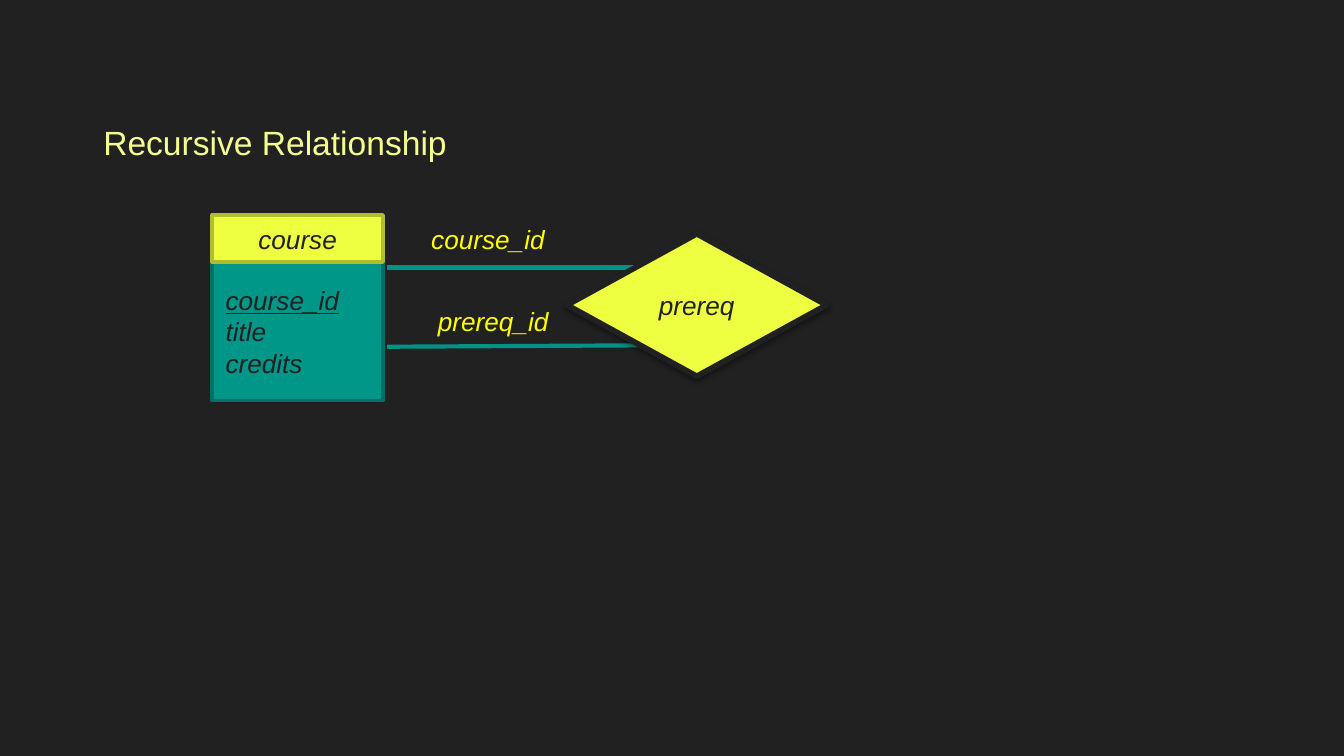
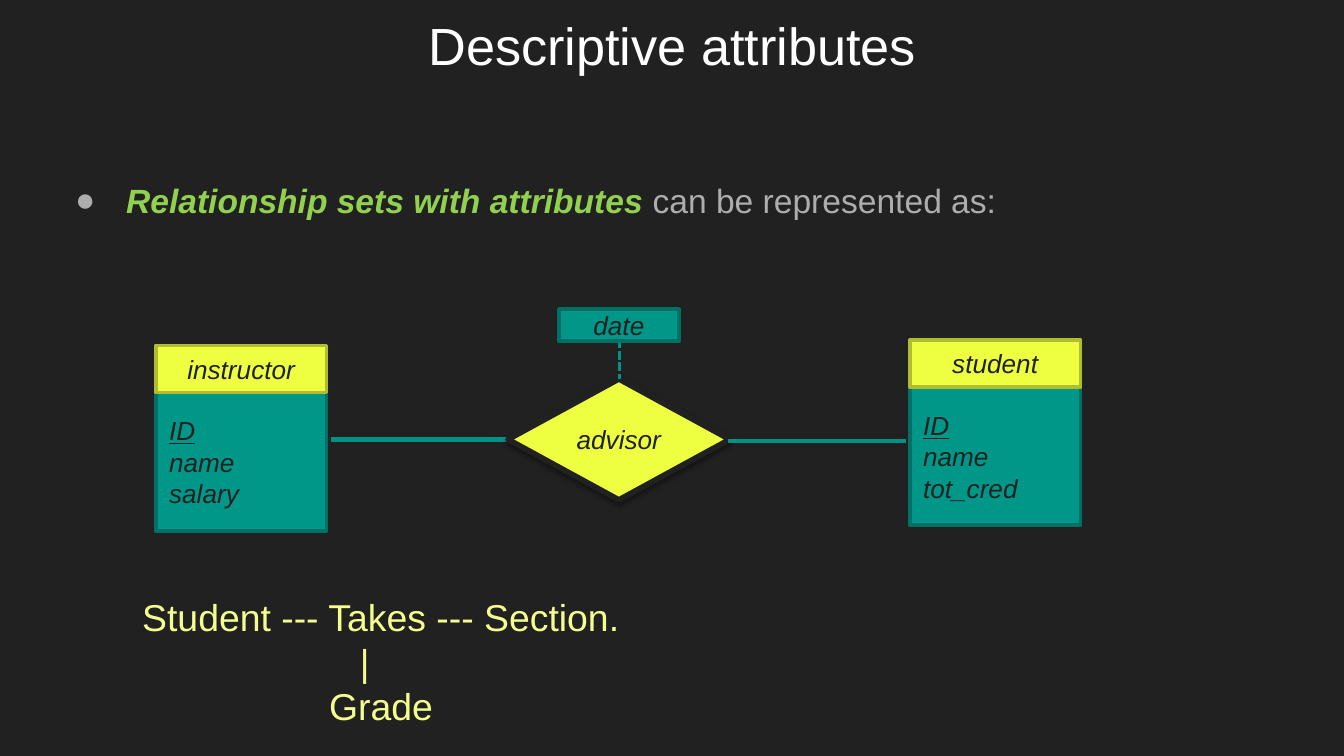
from lxml import etree
from pptx import Presentation
from pptx.dml.color import RGBColor
from pptx.enum.dml import MSO_LINE
from pptx.enum.shapes import MSO_CONNECTOR, MSO_SHAPE
from pptx.enum.text import MSO_ANCHOR, PP_ALIGN
from pptx.oxml.ns import qn
from pptx.util import Inches, Pt

FONT = "Arial"
DARK, WHITE, GREY = "212121", "FFFFFF", "ADADAD"
TEAL, TEAL_EDGE, TEAL_LINE = "009688", "006F65", "009385"
LIME, LIME_EDGE, PALE_LIME = "EEFF41", "B0BD30", "F5FF8D"
YELLOW, GREEN = "FFFF00", "92D050"
ENTITY_W, HEADER_H, ATTRIBUTES_H = 1.27, 0.35, 1.03


def rgb(color):
    return RGBColor.from_string(color)


def add_slide(prs):
    s = prs.slides.add_slide(prs.slide_layouts[6])
    s.background.fill.solid()
    s.background.fill.fore_color.rgb = rgb(DARK)
    return s


def write(sp, lines, size, color, italic=False, align=PP_ALIGN.LEFT):
    tf = sp.text_frame
    tf.word_wrap = True
    for i, line in enumerate(lines):
        p = tf.paragraphs[0] if i == 0 else tf.add_paragraph()
        p.text = line
        p.alignment = align
        p.font.name, p.font.size, p.font.italic = FONT, Pt(size), italic
        p.font.color.rgb = rgb(color)
    return tf


def add_text(s, box, lines, size, color, **style):
    sp = s.shapes.add_textbox(*map(Inches, box))
    return write(sp, lines, size, color, **style)


def add_node(s, kind, box, fill, edge, lines, width=2, align=PP_ALIGN.CENTER):
    sp = s.shapes.add_shape(kind, *map(Inches, box))
    sp.shadow.inherit = False
    sp.fill.solid()
    sp.fill.fore_color.rgb = rgb(fill)
    sp.line.color.rgb = rgb(edge)
    sp.line.width = Pt(width)
    write(sp, lines, 14, DARK, italic=True, align=align)
    sp.text_frame.vertical_anchor = MSO_ANCHOR.MIDDLE
    return sp


def add_entity(s, left, top, name, attributes):
    """Entity set: a header above its attributes, primary key first."""
    sp = add_node(s, MSO_SHAPE.RECTANGLE,
                  (left, top + HEADER_H, ENTITY_W, ATTRIBUTES_H),
                  TEAL, TEAL_EDGE, attributes, align=PP_ALIGN.LEFT)
    sp.text_frame.paragraphs[0].runs[0].font.underline = True
    add_node(s, MSO_SHAPE.RECTANGLE, (left, top, ENTITY_W, HEADER_H),
             LIME, LIME_EDGE, [name])


def add_relationship(s, box, name):
    """Relationship set: a diamond with a soft shadow below."""
    sp = add_node(s, MSO_SHAPE.FLOWCHART_DECISION, box, LIME, DARK, [name], width=3)
    effects = sp._element.spPr.find(qn("a:effectLst"))
    shadow = etree.SubElement(effects, qn("a:outerShdw"), blurRad=str(Pt(3.1)),
                              dist=str(Pt(1.6)), dir="5400000", rotWithShape="0")
    color = etree.SubElement(shadow, qn("a:srgbClr"), val="000000")
    etree.SubElement(color, qn("a:alpha"), val="38000")


def add_link(s, x1, y1, x2, y2, width=2.25, dash=None):
    link = s.shapes.add_connector(MSO_CONNECTOR.STRAIGHT,
                                  *map(Inches, (x1, y1, x2, y2)))
    link.line.color.rgb = rgb(TEAL_LINE)
    link.line.width = Pt(width)
    if dash:
        link.line.dash_style = dash
    etree.SubElement(link._element.spPr, qn("a:effectLst"))


def add_bullet(s, box, term, rest):
    tf = add_text(s, box, [term], 18, GREY)
    tf.margin_top = tf.margin_bottom = Inches(0.1)
    p = tf.paragraphs[0]
    p.line_spacing = 1.15
    font = p.runs[0].font
    font.bold = font.italic = True
    font.color.rgb = rgb(GREEN)
    p.add_run().text = rest
    # Hanging bullet, placed ahead of the default run properties
    pPr = p._p.get_or_add_pPr()
    pPr.set("marL", str(Inches(0.5)))
    pPr.set("indent", str(Inches(-0.38)))
    color = etree.Element(qn("a:buClr"))
    etree.SubElement(color, qn("a:srgbClr"), val=GREY)
    size = etree.Element(qn("a:buSzPts"), val="1800")
    face = etree.Element(qn("a:buFont"), typeface=FONT)
    bullet = etree.Element(qn("a:buChar"), char="●")
    for element in (color, size, face, bullet):
        pPr.find(qn("a:defRPr")).addprevious(element)


def recursive_diagram(s, left, top):
    """One entity set taking part twice, in two roles."""
    add_entity(s, left, top, "course", ["course_id", "title", "credits"])
    link_x = left + 1.3
    add_link(s, link_x, top + 0.39, left + 3.21, top + 0.39)
    add_link(s, link_x, top + 0.98, left + 3.17, top + 0.97)
    add_relationship(s, (left + 2.64, top + 0.14, 1.93, 1.06), "prereq")
    for role, dx, dy in (("course_id", 1.53, 0.01), ("prereq_id", 1.58, 0.62)):
        add_text(s, (left + dx, top + dy, 1.11, 0.34), [role], 14, YELLOW,
                 italic=True)


def attribute_diagram(s, left, top):
    """Two entity sets joined by a relationship that has an attribute."""
    add_entity(s, left, top + 0.27, "instructor", ["ID", "name", "salary"])
    add_link(s, left + 1.3, top + 0.97, left + 2.62, top + 0.97)
    add_relationship(s, (left + 2.62, top + 0.52, 1.65, 0.9), "advisor")
    add_link(s, left + 4.26, top + 0.98, left + 5.58, top + 0.98)
    add_entity(s, left + 5.61, top + 0.23, "student", ["ID", "name", "tot_cred"])
    # Descriptive attribute
    middle = left + 3.45
    add_link(s, middle, top + 0.23, middle, top + 0.52, 1.5, MSO_LINE.SQUARE_DOT)
    add_node(s, MSO_SHAPE.RECTANGLE, (middle - 0.45, top, 0.89, 0.24),
             TEAL, TEAL_EDGE, ["date"])


def text_diagram(s, box):
    """Typed diagram whose lower lines are indented under its middle word."""
    tf = add_text(s, box, ["Student --- Takes --- Section.", "|", "Grade"],
                  20, PALE_LIME)
    for p, indent in zip(tf.paragraphs, (0, 1.62, 1.39)):
        p._p.get_or_add_pPr().set("marL", str(Inches(indent)))


def recursive_slide(prs):
    s = add_slide(prs)
    recursive_diagram(s, 1.58, 1.6)
    add_text(s, (0.67, 0.86, 2.88, 0.4), ["Recursive Relationship"], 18, PALE_LIME)


def attributes_slide(prs):
    s = add_slide(prs)
    tf = add_text(s, (0.34, 0, 9.32, 0.58), ["Descriptive attributes"], 28, WHITE,
                  align=PP_ALIGN.CENTER)
    tf.margin_top = tf.margin_bottom = Inches(0.1)
    add_bullet(s, (0.34, 1.19, 9.32, 0.55), "Relationship sets with attributes",
               " can be represented as:")
    attribute_diagram(s, 1.16, 2.3)
    text_diagram(s, (0.96, 4.37, 8.09, 1.11))


def main():
    prs = Presentation()
    # Widescreen, 16:9
    prs.slide_width = Inches(10)
    prs.slide_height = prs.slide_width * 9 // 16
    recursive_slide(prs)
    attributes_slide(prs)
    prs.save("out.pptx")


if __name__ == "__main__":
    main()
